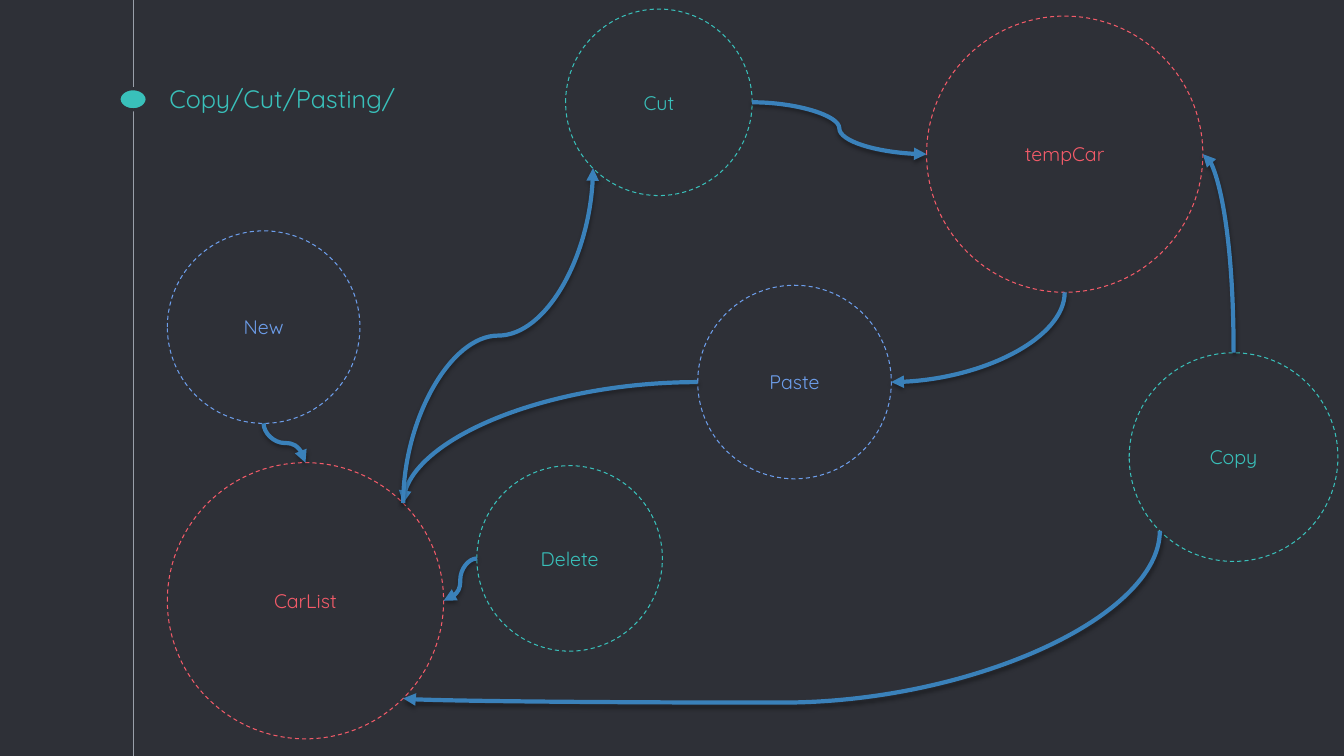
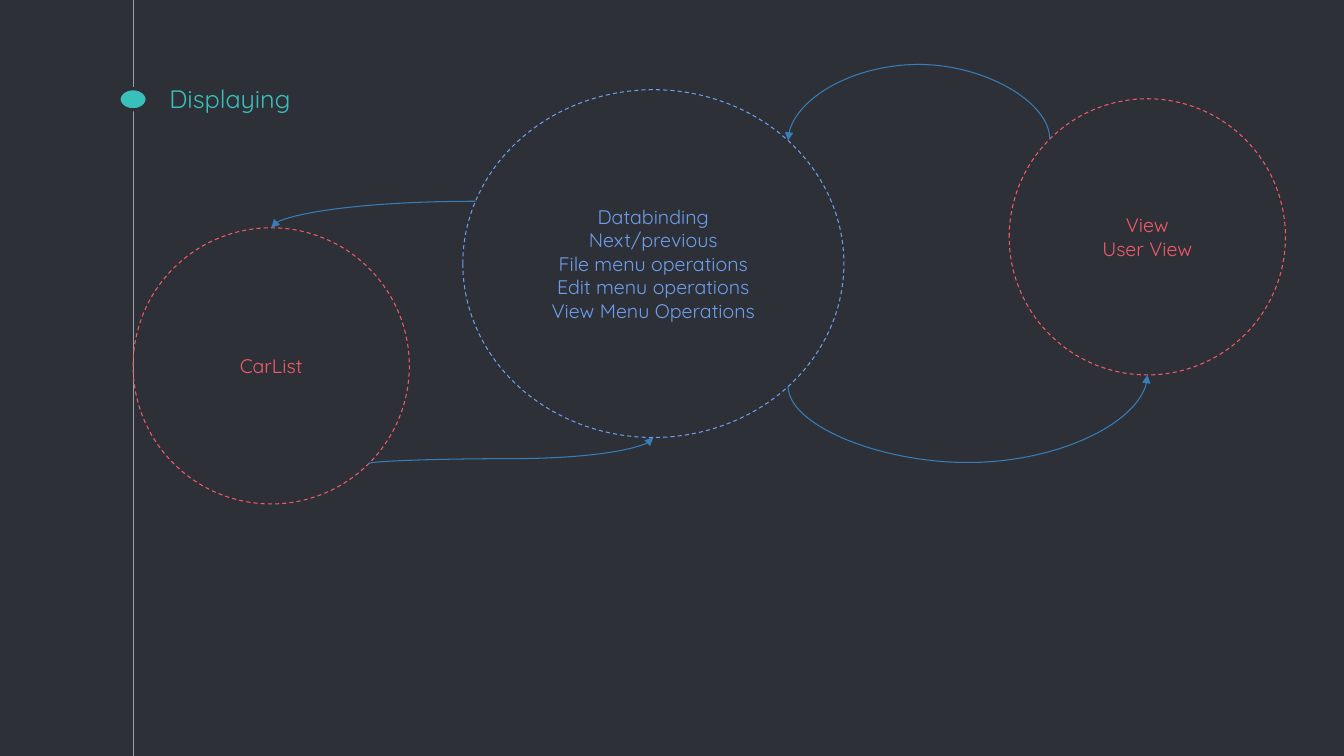
from dataclasses import dataclass
from math import cos, radians, sin
from typing import Optional

from lxml.etree import SubElement
from pptx import Presentation
from pptx.dml.color import RGBColor
from pptx.enum.dml import MSO_LINE
from pptx.enum.shapes import MSO_CONNECTOR, MSO_SHAPE
from pptx.enum.text import MSO_ANCHOR, PP_ALIGN
from pptx.oxml.ns import qn
from pptx.util import Inches, Pt

COLORS = {
    "background": "2E3037",
    "rail": "999FA9",
    "teal": "39C0BA",
    "blue": "6D9EEB",
    "red": "F35B69",
    "bold_arrow": "3A81BA",
    "thin_arrow": "367EB9",
}
FONT = "Quicksand"
EAST, SOUTH_EAST, SOUTH, SOUTH_WEST = 0, 45, 90, 135
WEST, NORTH_WEST, NORTH, NORTH_EAST = 180, 225, 270, 315


@dataclass(frozen=True)
class Bubble:
    name: str
    left: float
    top: float
    width: float
    height: float
    color: str
    lines: tuple[str, ...]

    def point(self, angle: float) -> tuple[float, float]:
        x = self.left + self.width / 2 * (1 + cos(radians(angle)))
        y = self.top + self.height / 2 * (1 + sin(radians(angle)))
        return x, y


@dataclass(frozen=True)
class Arrow:
    start: str
    start_angle: int
    end: str
    end_angle: int
    vertical: bool = False
    corner: bool = False
    bend: Optional[float] = None


@dataclass(frozen=True)
class ArrowStyle:
    color: str
    width: float
    shadow: bool


@dataclass(frozen=True)
class Diagram:
    title: str
    bubbles: tuple[Bubble, ...]
    arrows: tuple[Arrow, ...]
    style: ArrowStyle


def circle(name: str, left: float, top: float, size: float, color: str, *lines: str) -> Bubble:
    return Bubble(name, left, top, size, size, color, lines or (name,))


DIAGRAMS = (
    Diagram(
        "Copy/Cut/Pasting/",
        (
            circle("Cut", 5.61, 0.09, 1.85, "teal"),
            circle("Paste", 6.92, 2.83, 1.92, "blue"),
            circle("tempCar", 9.19, 0.16, 2.74, "red"),
            circle("CarList", 1.66, 4.59, 2.74, "red"),
            circle("New", 1.66, 2.29, 1.91, "blue"),
            circle("Delete", 4.73, 4.62, 1.84, "teal"),
            circle("Copy", 11.2, 3.5, 2.07, "teal"),
        ),
        (
            Arrow("Cut", EAST, "tempCar", WEST),
            Arrow("Copy", NORTH, "tempCar", EAST, vertical=True, corner=True),
            Arrow("tempCar", SOUTH, "Paste", EAST, vertical=True, corner=True),
            Arrow("New", SOUTH, "CarList", NORTH, vertical=True),
            Arrow("Paste", WEST, "CarList", NORTH_EAST, corner=True),
            Arrow("Delete", WEST, "CarList", EAST),
            Arrow("CarList", NORTH_EAST, "Cut", SOUTH_WEST, vertical=True),
            Arrow("Copy", SOUTH_WEST, "CarList", SOUTH_EAST, vertical=True, bend=6.97),
        ),
        ArrowStyle("bold_arrow", 3, True),
    ),
    Diagram(
        "Displaying",
        (
            Bubble("Databinding", 4.59, 0.89, 3.78, 3.45, "blue", (
                "Databinding",
                "Next/previous",
                "File menu operations",
                "Edit menu operations",
                "View Menu Operations",
            )),
            circle("View", 10.01, 0.98, 2.74, "red", "View", "User View"),
            circle("CarList", 1.32, 2.26, 2.74, "red"),
        ),
        (
            Arrow("View", NORTH_WEST, "Databinding", NORTH_EAST, vertical=True, bend=0.65),
            Arrow("CarList", SOUTH_EAST, "Databinding", SOUTH, vertical=True, bend=4.55),
            Arrow("Databinding", 201, "CarList", NORTH, corner=True),
            Arrow("Databinding", SOUTH_EAST, "View", SOUTH, vertical=True, bend=4.59),
        ),
        ArrowStyle("thin_arrow", 0.75, False),
    ),
)


def rgb(name: str) -> RGBColor:
    return RGBColor.from_string(COLORS[name])


def add_span(para, text: str, size: float, color: str) -> None:
    span = para.add_run()
    span.text = text
    span.font.name = FONT
    span.font.size = Pt(size)
    span.font.color.rgb = rgb(color)


def set_margins(frame) -> None:
    frame.margin_left = frame.margin_right = Inches(0.1)
    frame.margin_top = frame.margin_bottom = Inches(0.1)
    frame.word_wrap = True


def set_effects(connector, shadow: bool) -> None:
    effects = SubElement(connector._element.spPr, qn("a:effectLst"))
    if shadow:
        outer = SubElement(effects, qn("a:outerShdw"), blurRad="40000", dist="23000",
                           dir="5400000", rotWithShape="0")
        black = SubElement(outer, qn("a:srgbClr"), val="000000")
        SubElement(black, qn("a:alpha"), val="35000")


def add_frame(page, title: str) -> None:
    rail = page.shapes.add_connector(
        MSO_CONNECTOR.STRAIGHT, Inches(1.32), Inches(0), Inches(1.32), Inches(7.5))
    rail.line.color.rgb = rgb("rail")
    rail.line.width = Pt(0.75)
    set_effects(rail, False)
    dot = page.shapes.add_shape(
        MSO_SHAPE.OVAL, Inches(1.18), Inches(0.88), Inches(0.28), Inches(0.21))
    dot.shadow.inherit = False
    dot.fill.solid()
    dot.fill.fore_color.rgb = rgb("teal")
    dot.line.color.rgb = rgb("background")
    dot.line.width = Pt(2.25)
    box = page.shapes.title
    box.left, box.top, box.width, box.height = (Inches(n) for n in (1.58, 0.73, 7.5, 0.5))
    set_margins(box.text_frame)
    box.text_frame.vertical_anchor = MSO_ANCHOR.BOTTOM
    para = box.text_frame.paragraphs[0]
    para.alignment = PP_ALIGN.LEFT
    add_span(para, title, 18, "teal")


def add_bubble(page, bubble: Bubble):
    box = page.shapes.add_shape(
        MSO_SHAPE.OVAL, Inches(bubble.left), Inches(bubble.top),
        Inches(bubble.width), Inches(bubble.height))
    box.shadow.inherit = False
    box.fill.background()
    box.line.color.rgb = rgb(bubble.color)
    box.line.width = Pt(0.75)
    box.line.dash_style = MSO_LINE.DASH
    frame = box.text_frame
    set_margins(frame)
    frame.vertical_anchor = MSO_ANCHOR.MIDDLE
    for index, line in enumerate(bubble.lines):
        para = frame.add_paragraph() if index else frame.paragraphs[0]
        para.alignment = PP_ALIGN.CENTER
        add_span(para, line, 14, bubble.color)
    return box


def shape_curve(connector, arrow: Arrow, start: tuple[float, float],
                end: tuple[float, float]) -> None:
    across, down = end[0] - start[0], end[1] - start[1]
    width, height = abs(across), abs(down)
    transform = connector._element.spPr.find(qn("a:xfrm"))
    for flip in ("flipH", "flipV"):
        transform.attrib.pop(flip, None)
    if arrow.vertical:
        width, height = height, width
        rotation = 90 if (across < 0) == (down > 0) else 270
        flip_across = (down < 0) == (rotation == 90)
        flip_down = (across > 0) == (rotation == 90)
    else:
        rotation = 180 if across < 0 else 0
        flip_across = False
        flip_down = (down < 0) != (across < 0)
    connector.left = Inches((start[0] + end[0] - width) / 2)
    connector.top = Inches((start[1] + end[1] - height) / 2)
    connector.width, connector.height = Inches(width), Inches(height)
    transform.set("rot", str(rotation * 60000))
    if flip_across:
        transform.set("flipH", "1")
    if flip_down:
        transform.set("flipV", "1")
    geometry = connector._element.spPr.find(qn("a:prstGeom"))
    geometry.set("prst", "curvedConnector2" if arrow.corner else "curvedConnector3")
    if arrow.bend is not None:
        share = (arrow.bend - start[1]) / down
        guides = geometry.find(qn("a:avLst"))
        SubElement(guides, qn("a:gd"), name="adj1", fmla=f"val {round(share * 100000)}")


def glue(connector, tag: str, box, angle: int) -> None:
    if angle % 45 == 0:
        site = (NORTH - angle) // 45 % 8
        properties = connector._element.nvCxnSpPr.cNvCxnSpPr
        SubElement(properties, qn(tag), id=str(box.shape_id), idx=str(site))


def add_arrow(page, arrow: Arrow, bubbles: dict[str, Bubble], boxes: dict,
              style: ArrowStyle) -> None:
    start = bubbles[arrow.start].point(arrow.start_angle)
    end = bubbles[arrow.end].point(arrow.end_angle)
    connector = page.shapes.add_connector(
        MSO_CONNECTOR.CURVE, *(Inches(n) for n in (*start, *end)))
    shape_curve(connector, arrow, start, end)
    glue(connector, "a:stCxn", boxes[arrow.start], arrow.start_angle)
    glue(connector, "a:endCxn", boxes[arrow.end], arrow.end_angle)
    connector.line.color.rgb = rgb(style.color)
    connector.line.width = Pt(style.width)
    SubElement(connector.line._get_or_add_ln(), qn("a:tailEnd"), type="triangle")
    set_effects(connector, style.shadow)


def add_diagram(deck, diagram: Diagram) -> None:
    page = deck.slides.add_slide(deck.slide_layouts[5])
    add_frame(page, diagram.title)
    bubbles = {bubble.name: bubble for bubble in diagram.bubbles}
    boxes = {name: add_bubble(page, bubble) for name, bubble in bubbles.items()}
    for arrow in diagram.arrows:
        add_arrow(page, arrow, bubbles, boxes, diagram.style)


def main() -> None:
    deck = Presentation()
    deck.slide_width, deck.slide_height = Inches(13.33), Inches(7.5)
    fill = deck.slide_master.background.fill
    fill.solid()
    fill.fore_color.rgb = rgb("background")
    for diagram in DIAGRAMS:
        add_diagram(deck, diagram)
    deck.save("out.pptx")


if __name__ == "__main__":
    main()
